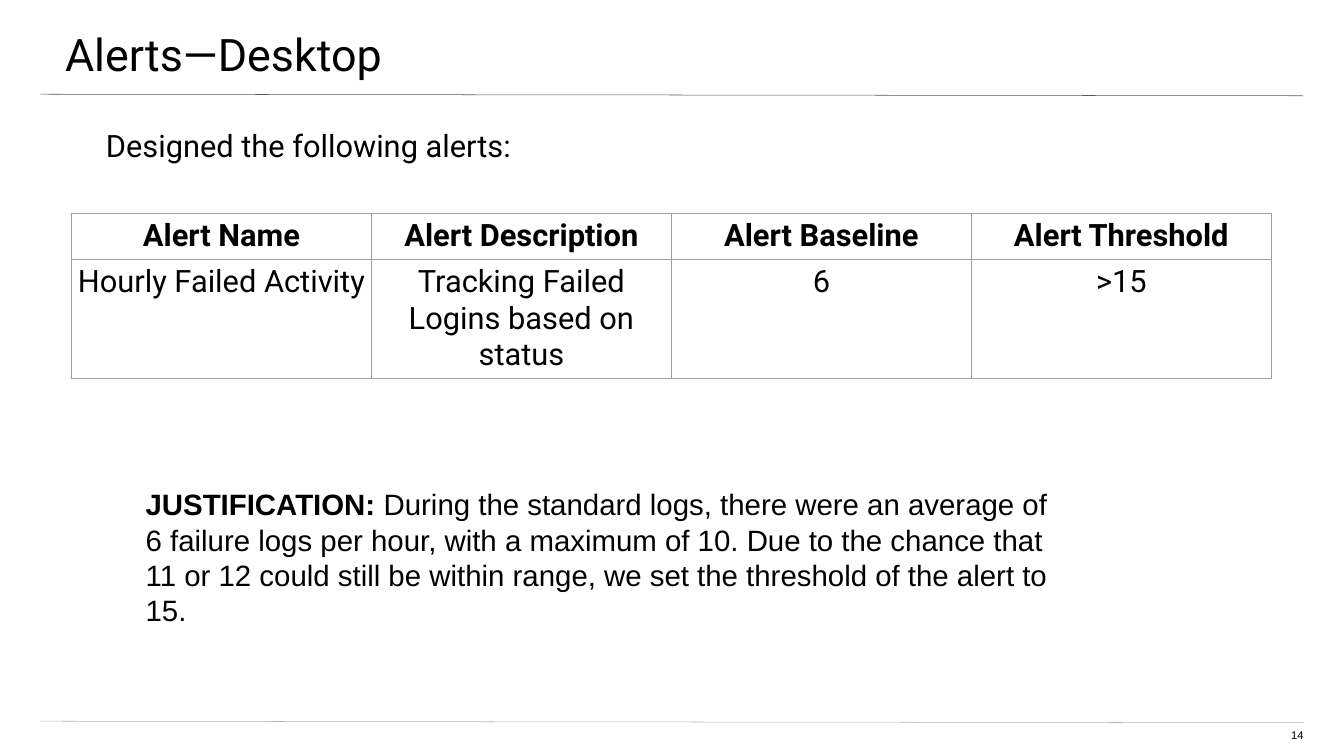
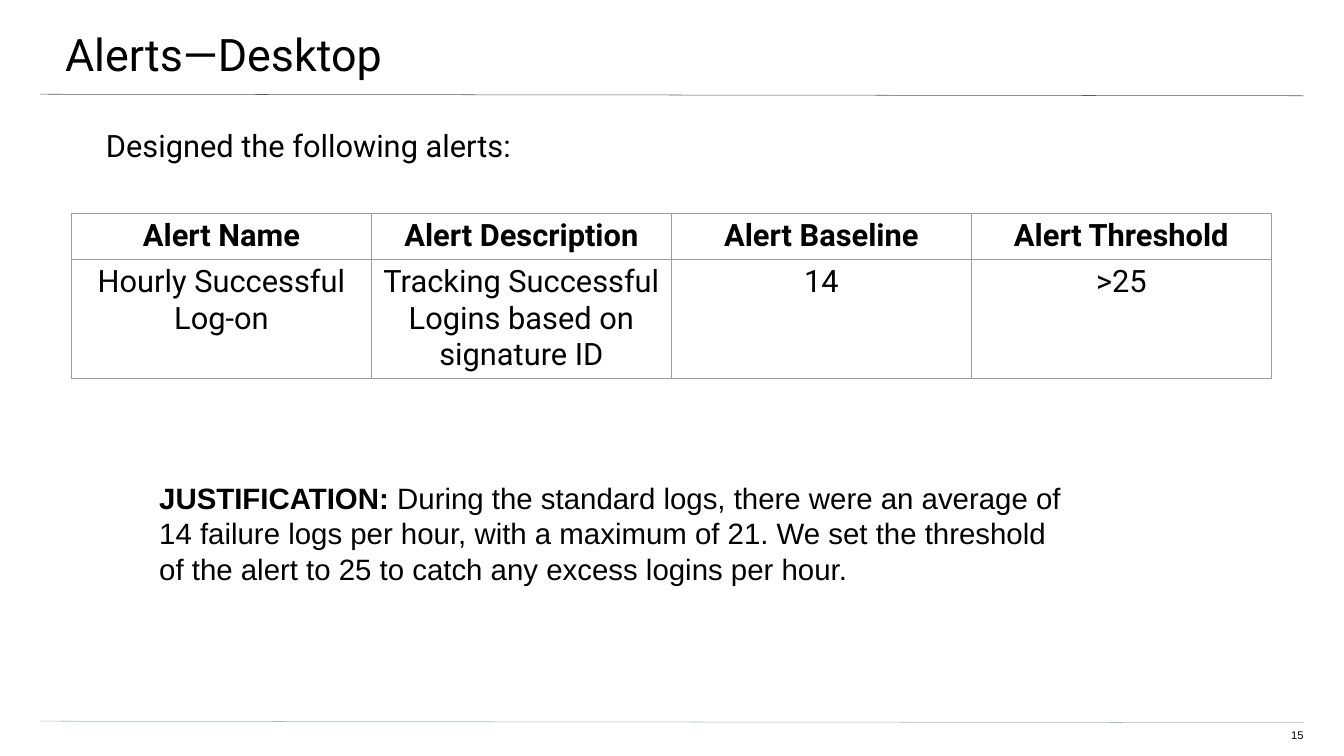
from dataclasses import dataclass

from lxml import etree
from pptx import Presentation
from pptx import util as u
from pptx.dml.color import RGBColor
from pptx.enum import shapes, text
from pptx.oxml import ns

PX = 9144


@dataclass(frozen=True)
class Theme:
    """Colours, fonts and type sizes of the deck."""
    ink: str = "000000"
    paper: str = "FFFFFF"
    head_rule: str = "595959"
    foot_rule: str = "A9B7C0"
    grid: str = "9E9E9E"
    heading: str = "Roboto"
    plain: str = "Arial"
    title_pt: int = 64
    body_pt: int = 44
    note_pt: int = 42
    number_pt: int = 16
    line_pt: float = 0.75


T = Theme()
W, H = 2666, 1500
HEADERS = ["Alert Name", "Alert Description", "Alert Baseline", "Alert Threshold"]
SLIDES = [
    dict(number="14",
         values=["Hourly Failed Activity", "Tracking Failed Logins based on status",
                 "6", ">15"],
         note="During the standard logs, there were an average of 6 failure logs per hour, "
              "with a maximum of 10. Due to the chance that 11 or 12 could still be within "
              "range, we set the threshold of the alert to 15.",
         note_box=(279, 955, 1812, 303)),
    dict(number="15",
         values=["Hourly Successful Log-on", "Tracking Successful Logins based on signature ID",
                 "14", ">25"],
         note="During the standard logs, there were an average of 14 failure logs per hour, "
              "with a maximum of 21. We set the threshold of the alert to 25 to catch any "
              "excess logins per hour.",
         note_box=(306, 943, 1812, 232)),
]


def px(*lengths):
    """Turn px lengths into EMU."""
    return [u.Emu(n * PX) for n in lengths]


def add_run(p, words, font, size, bold=False):
    """Append one formatted run to a paragraph."""
    r = p.add_run()
    r.text = words
    r.font.name, r.font.size, r.font.bold = font, u.Pt(size), bold
    r.font.color.rgb = RGBColor.from_string(T.ink)


def set_frame(sp, insets, align=text.PP_ALIGN.LEFT, fit=text.MSO_AUTO_SIZE.NONE):
    """Prepare a text frame and return its first paragraph."""
    tf = sp.text_frame
    tf.word_wrap = True
    tf.auto_size = fit
    tf.vertical_anchor = text.MSO_ANCHOR.TOP
    tf.margin_left, tf.margin_top, tf.margin_right, tf.margin_bottom = px(*insets)
    p = tf.paragraphs[0]
    p.alignment = align
    return p


def fill_placeholder(sp, box, insets, words, size):
    """Place a title or body placeholder and give it one unbulleted line."""
    sp.left, sp.top, sp.width, sp.height = px(*box)
    p = set_frame(sp, insets)
    p.space_before = u.Pt(0)
    pPr = p._p.get_or_add_pPr()
    pPr.set("marL", "0")
    pPr.set("indent", "0")
    etree.SubElement(pPr, ns.qn("a:buNone"))
    add_run(p, words, T.heading, size)


def add_rule(s, x, y, w, drop, color):
    """Draw a thin rule that falls slightly towards the right."""
    c = s.shapes.add_connector(shapes.MSO_CONNECTOR.STRAIGHT, *px(x, y, x + w, y + drop))
    c.line.color.rgb = RGBColor.from_string(color)
    c.line.width = u.Pt(T.line_pt)
    etree.SubElement(c._element.spPr, ns.qn("a:effectLst"))


def add_furniture(s, number):
    """Draw the two rules and the page number."""
    add_rule(s, 80, 187, 2506, 3, T.head_rule)
    add_rule(s, 80, 1431, 2506, 3, T.foot_rule)
    sp = s.shapes.add_textbox(*px(2510, 1446, 76, 31))
    p = set_frame(sp, (0, 0, 0, 27), text.PP_ALIGN.RIGHT)
    add_run(p, number, T.plain, T.number_pt)


def border_cell(cell):
    """Outline all four sides of a table cell."""
    tcPr = cell._tc.get_or_add_tcPr()
    for i, side in enumerate("LRTB"):
        ln = etree.Element(ns.qn(f"a:ln{side}"), w=str(u.Pt(T.line_pt)))
        fill = etree.SubElement(ln, ns.qn("a:solidFill"))
        etree.SubElement(fill, ns.qn("a:srgbClr"), val=T.grid)
        tcPr.insert(i, ln)


def add_alert_table(s, x, y, col_w, row_heights, rows):
    """Build the alert grid with a bold header row."""
    box = px(x, y, col_w * len(rows[0]), sum(row_heights))
    table = s.shapes.add_table(len(rows), len(rows[0]), *box).table
    table.first_row = table.horz_banding = False
    for col in table.columns:
        col.width = u.Emu(col_w * PX)
    for i, (row, height) in enumerate(zip(rows, row_heights)):
        table.rows[i].height = u.Emu(height * PX)
        for j, words in enumerate(row):
            cell = table.cell(i, j)
            cell.fill.background()
            border_cell(cell)
            cell.margin_left = cell.margin_right = u.Emu(10 * PX)
            cell.margin_top = cell.margin_bottom = u.Emu(10 * PX)
            p = cell.text_frame.paragraphs[0]
            p.alignment = text.PP_ALIGN.CENTER
            add_run(p, words, T.heading, T.body_pt, bold=i == 0)


def add_justification(s, box, note):
    """Write the reasoning behind the threshold."""
    sp = s.shapes.add_textbox(*px(*box))
    p = set_frame(sp, (10, 10, 10, 10), fit=text.MSO_AUTO_SIZE.SHAPE_TO_FIT_TEXT)
    add_run(p, "JUSTIFICATION: ", T.plain, T.note_pt, bold=True)
    add_run(p, note, T.plain, T.note_pt)


def add_alert_slide(prs, number, values, note, note_box):
    """Build one alert slide."""
    s = prs.slides.add_slide(prs.slide_layouts[1])
    s.background.fill.solid()
    s.background.fill.fore_color.rgb = RGBColor.from_string(T.paper)
    fill_placeholder(s.shapes.title, (-4, 0, 2673, 156), (133, 53, 80, 27),
                     "Alerts—Desktop", T.title_pt)
    fill_placeholder(s.placeholders[1], (77, 251, 2509, 1079), (133, 0, 133, 267),
                     "Designed the following alerts:", T.body_pt)
    add_furniture(s, number)
    add_alert_table(s, 142, 423, 595, (91, 234), [HEADERS, values])
    add_justification(s, note_box, note)


def main():
    """Build and save the deck."""
    prs = Presentation()
    prs.slide_width, prs.slide_height = px(W, H)
    for content in SLIDES:
        add_alert_slide(prs, **content)
    prs.save("out.pptx")


if __name__ == "__main__":
    main()
